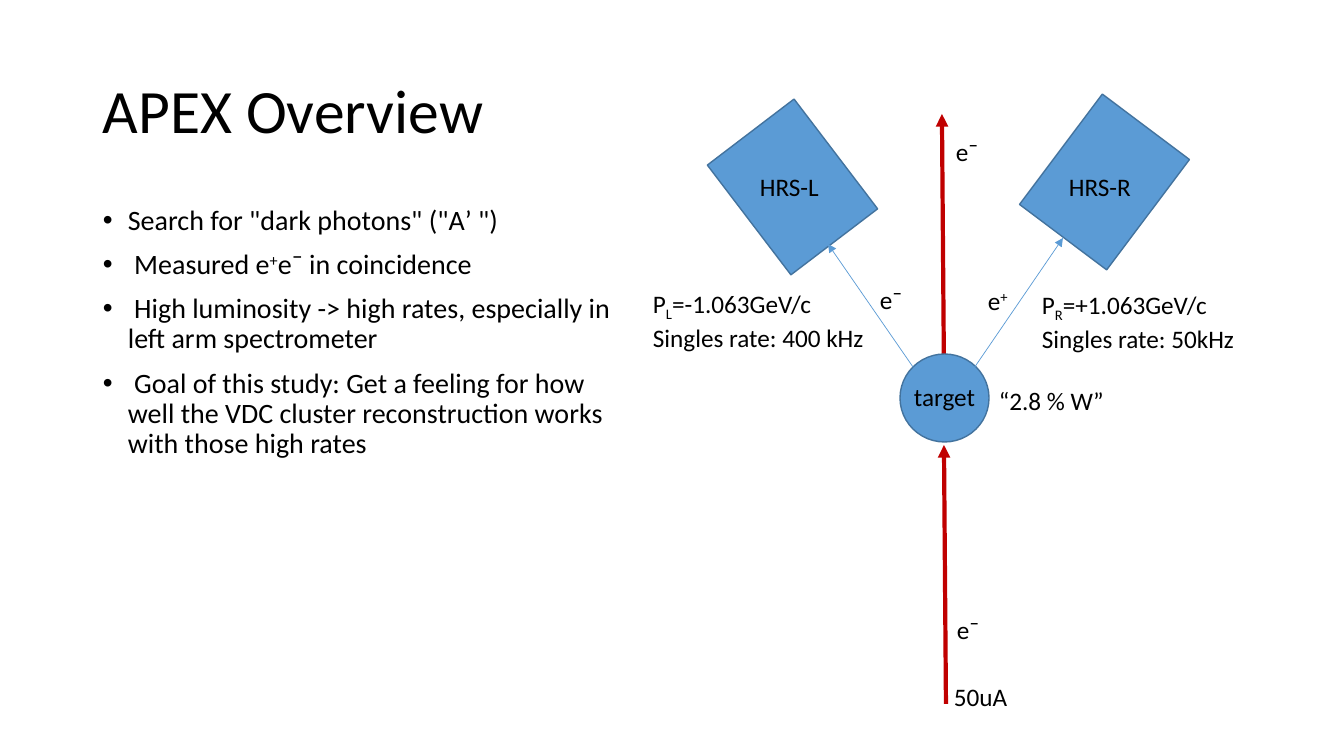
from dataclasses import dataclass

from lxml import etree
from pptx import Presentation
from pptx.dml.color import RGBColor
from pptx.enum.shapes import MSO_CONNECTOR, MSO_SHAPE
from pptx.enum.text import MSO_ANCHOR, PP_ALIGN
from pptx.oxml.ns import qn
from pptx.util import Emu, Pt


@dataclass(frozen=True)
class Theme:
    font: str = "Calibri"
    text: RGBColor = RGBColor(0x00, 0x00, 0x00)
    fill: RGBColor = RGBColor(0x5B, 0x9B, 0xD5)
    outline: RGBColor = RGBColor(0x43, 0x73, 0x9E)
    beam: RGBColor = RGBColor(0xC0, 0x00, 0x00)
    title_size: int = 44
    body_size: int = 20
    label_size: int = 18


theme = Theme()
PX = 914400 / 100.8  # EMU in one px
BASELINES = {"^": "30000", "_": "-25000"}

presentation = Presentation()
presentation.slide_width = Emu(round(1344 * PX))
presentation.slide_height = Emu(round(756 * PX))
slide = presentation.slides.add_slide(presentation.slide_layouts[6])


def add_text(paragraphs, box, size=theme.label_size, align=PP_ALIGN.LEFT,
             anchor=MSO_ANCHOR.TOP, spacing=None, before=0, bullet_indent=0):
    """Each paragraph is a list of runs; a leading ^ raises a run and _ lowers it."""
    shape = slide.shapes.add_textbox(*[Emu(round(value * PX)) for value in box])
    frame = shape.text_frame
    frame.word_wrap = True
    frame.vertical_anchor = anchor
    for index, runs in enumerate(paragraphs):
        paragraph = frame.paragraphs[0] if index == 0 else frame.add_paragraph()
        paragraph.alignment = align
        paragraph.line_spacing = spacing
        paragraph.space_before = Pt(before)
        if bullet_indent:
            properties = paragraph._p.get_or_add_pPr()
            indent = round(bullet_indent * PX)
            properties.set("marL", str(indent))
            properties.set("indent", str(-indent))
            etree.SubElement(properties, qn("a:buFont"), typeface="Arial")
            etree.SubElement(properties, qn("a:buChar"), char="•")
        for text in runs:
            run = paragraph.add_run()
            run.text = text.lstrip("^_")
            run.font.name = theme.font
            run.font.size = Pt(size)
            run.font.color.rgb = theme.text
            if text[0] in BASELINES:
                run._r.get_or_add_rPr().set("baseline", BASELINES[text[0]])


def add_arrow(start, end, color, width, target=None):
    """Draw an arrow; target is a rectangle whose bottom side it meets."""
    points = [Emu(round(value * PX)) for value in (*start, *end)]
    arrow = slide.shapes.add_connector(MSO_CONNECTOR.STRAIGHT, *points)
    if target is not None:
        arrow.end_connect(target, 2)
        arrow.end_x, arrow.end_y = points[2:]  # the side is rotated
    arrow.line.color.rgb = color
    arrow.line.width = Pt(width)
    etree.SubElement(arrow.line._get_or_add_ln(), qn("a:tailEnd"), type="triangle")
    etree.SubElement(arrow._element.spPr, qn("a:effectLst"))


# Title and bullets
add_text([["APEX Overview"]], (93, 41, 1159, 146), size=theme.title_size,
         anchor=MSO_ANCHOR.MIDDLE, spacing=0.9)
add_text(
    [
        ['Search for "dark photons" ("Aʼ ")'],
        [" Measured e", "^+", "e¯ in coincidence"],
        [" High luminosity -> high rates, especially in left arm spectrometer"],
        [" Goal of this study: Get a feeling for how well the VDC cluster "
         "reconstruction works with those high rates"],
    ],
    (93, 201, 531, 480), size=theme.body_size, spacing=0.9, before=10, bullet_indent=25,
)

# Beam, out of and into the target
for start, end in [((944, 374), (942, 114)), ((946, 704), (944, 445))]:
    add_arrow(start, end, theme.beam, 3)

# Target and the two spectrometers
parts = {}
for name, kind, box, rotation in [
    ("target", MSO_SHAPE.OVAL, (900, 354, 89, 88), 0),
    ("HRS-L", MSO_SHAPE.RECTANGLE, (738, 118, 109, 138), 322.7),
    ("HRS-R", MSO_SHAPE.RECTANGLE, (1050, 113, 109, 138), 36.9),
]:
    shape = slide.shapes.add_shape(kind, *[Emu(round(value * PX)) for value in box])
    shape.rotation = rotation
    shape.shadow.inherit = False
    shape.fill.solid()
    shape.fill.fore_color.rgb = theme.fill
    shape.line.color.rgb = theme.outline
    shape.line.width = Pt(1)
    parts[name] = shape

# Scattered particles
add_arrow((913, 367), (828, 244), theme.fill, 0.5)
add_arrow((970, 374), (1063, 238), theme.fill, 0.5, target=parts["HRS-R"])

# One-line labels
add_text([["target"]], (900, 376, 89, 40), align=PP_ALIGN.CENTER)
for runs, left, top, width in [
    (["HRS-L"], 750, 166, 92),
    (["HRS-R"], 1059, 166, 92),
    (["e¯"], 947, 609, 48),
    (["e¯"], 870, 279, 48),
    (["e", "^+"], 978, 280, 48),
    (["e¯"], 946, 131, 48),
    (["“2.8 % W”"], 989, 380, 132),
    (["50uA"], 944, 676, 88),
]:
    add_text([runs], (left, top, width, 40))

# Momentum and singles rate of each arm
for side, momentum, rate, box in [
    ("L", "-1.063", "400 kHz", (643, 283, 243, 72)),
    ("R", "+1.063", "50kHz", (1032, 284, 228, 72)),
]:
    add_text([["P", f"_{side}", f"={momentum}GeV/c"], [f"Singles rate: {rate}"]], box)

presentation.save("out.pptx")
